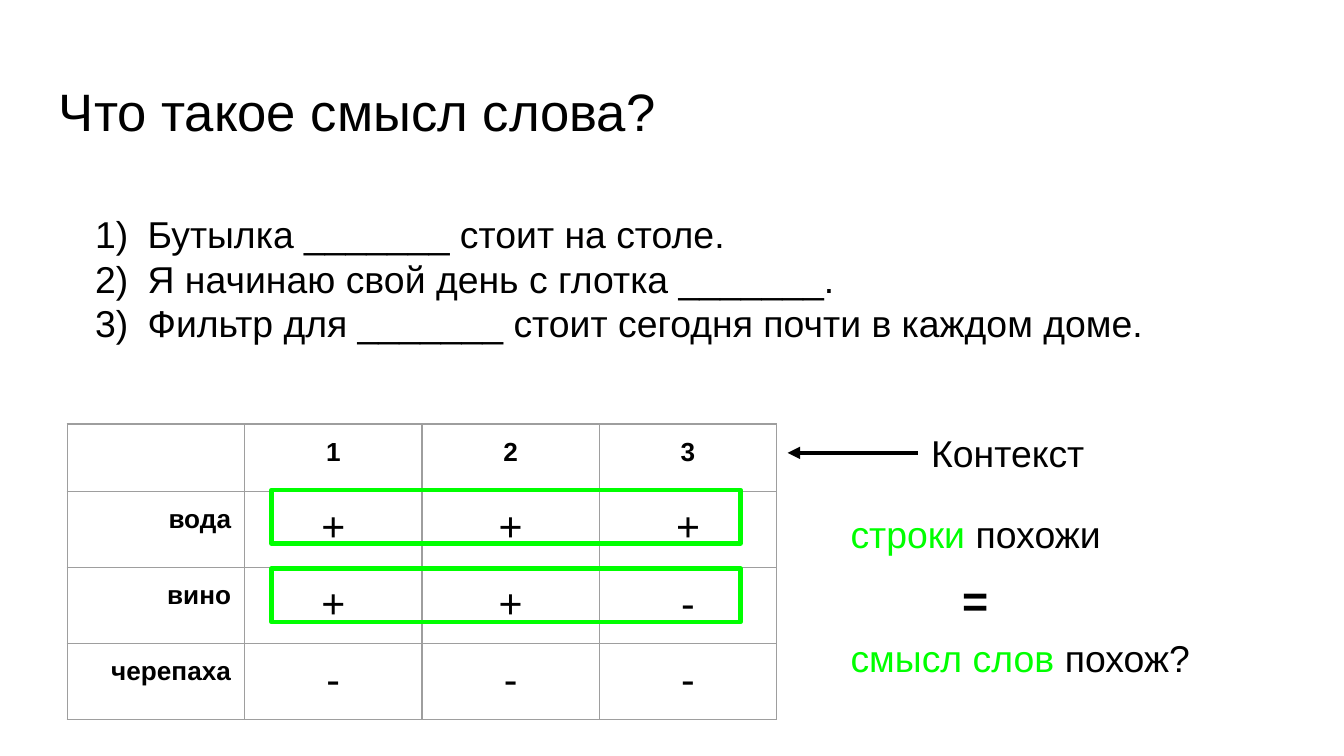
from typing import NamedTuple

from lxml.etree import SubElement
from pptx import Presentation
from pptx.dml.color import RGBColor
from pptx.enum.shapes import MSO_CONNECTOR, MSO_SHAPE
from pptx.enum.text import MSO_ANCHOR, MSO_AUTO_SIZE, PP_ALIGN
from pptx.oxml.ns import qn
from pptx.util import Pt

PX = 4572
PAD = 20 * PX
BLACK = RGBColor(0x00, 0x00, 0x00)
GREEN = RGBColor(0x00, 0xFF, 0x00)
GREY = RGBColor(0x9E, 0x9E, 0x9E)


class Box(NamedTuple):
    x: int
    y: int
    w: int
    h: int


class Part(NamedTuple):
    text: str
    color: RGBColor = BLACK


class Label(NamedTuple):
    box: Box
    lines: list[list[Part]]
    size: float = 20
    bold: bool = False
    grow: bool = True
    listed: bool = False


TITLE = Label(Box(68, 98, 1864, 126), [[Part("Что такое смысл слова?")]], 28.2, grow=False)
TASKS = Label(Box(100, 294, 1822, 242), [
    [Part("Бутылка _______ стоит на столе.")],
    [Part("Я начинаю свой день с глотка _______.")],
    [Part("Фильтр для _______ стоит сегодня почти в каждом доме.")],
], listed=True)
CONTEXT = Label(Box(1366, 620, 314, 108), [[Part("Контекст")]])
NOTES = [
    Label(Box(1246, 741, 656, 108), [[Part("строки", GREEN), Part(" похожи")]]),
    Label(Box(1412, 832, 214, 80), [[Part("=")]], 24, bold=True, grow=False),
    Label(Box(1246, 926, 656, 108), [[Part("смысл слов", GREEN), Part(" похож?")]]),
]
FRAMES = [Box(404, y, 698, 80) for y in (729, 846)]
GRID = [
    ["", "1", "2", "3"],
    ["вода", "+", "+", "+"],
    ["вино", "+", "+", "-"],
    ["черепаха", "-", "-", "-"],
]
ROWS = [100, 113, 113, 113]
COL = 264


def scale(box: Box) -> list[int]:
    return [n * PX for n in box]


def style(para, size: float, bold: bool) -> None:
    font = para.font
    font.name = "Arial"
    font.size = Pt(size)
    font.bold = bold
    font.color.rgb = BLACK


def number(para) -> None:
    props = para._p.get_or_add_pPr()
    props.set("marL", str(100 * PX))
    props.set("indent", str(-78 * PX))
    tint = SubElement(props, qn("a:buClr"))
    SubElement(tint, qn("a:srgbClr"), val=str(BLACK))
    SubElement(props, qn("a:buAutoNum"), type="arabicParenR")


def write(slide, label: Label):
    shape = slide.shapes.add_textbox(*scale(label.box))
    frame = shape.text_frame
    frame.word_wrap = True
    frame.vertical_anchor = MSO_ANCHOR.TOP
    frame.auto_size = MSO_AUTO_SIZE.SHAPE_TO_FIT_TEXT if label.grow else MSO_AUTO_SIZE.NONE
    frame.margin_left = frame.margin_right = PAD
    frame.margin_top = frame.margin_bottom = PAD
    for i, line in enumerate(label.lines):
        para = frame.add_paragraph() if i else frame.paragraphs[0]
        if label.listed:
            number(para)
        style(para, label.size, label.bold)
        for part in line:
            run = para.add_run()
            run.text = part.text
            if part.color != BLACK:
                run.font.color.rgb = part.color
    return shape


def border(cell) -> None:
    props = cell._tc.get_or_add_tcPr()
    for side in ("lnL", "lnR", "lnT", "lnB"):
        line = SubElement(props, qn(f"a:{side}"), w=str(Pt(0.75)))
        fill = SubElement(line, qn("a:solidFill"))
        SubElement(fill, qn("a:srgbClr"), val=str(GREY))


def tabulate(slide) -> None:
    count = len(GRID[0])
    box = Box(100, 631, count * COL, sum(ROWS))
    table = slide.shapes.add_table(len(GRID), count, *scale(box)).table
    table.first_row = table.horz_banding = False
    for col in table.columns:
        col.width = COL * PX
    for r, words in enumerate(GRID):
        table.rows[r].height = ROWS[r] * PX
        for c, word in enumerate(words):
            cell = table.cell(r, c)
            cell.margin_left = cell.margin_right = PAD
            cell.margin_top = cell.margin_bottom = PAD
            border(cell)
            cell.fill.background()
            if word:
                head = r == 0 or c == 0
                para = cell.text_frame.paragraphs[0]
                para.text = word
                para.alignment = PP_ALIGN.CENTER if c else PP_ALIGN.RIGHT
                style(para, 14 if head else 22, head)


def outline(slide, box: Box) -> None:
    shape = slide.shapes.add_shape(MSO_SHAPE.RECTANGLE, *scale(box))
    shape.shadow.inherit = False
    shape.fill.background()
    shape.line.color.rgb = GREEN
    shape.line.width = Pt(2.25)
    SubElement(shape.line._get_or_add_ln(), qn("a:round"))


def point(slide, source, x: int) -> None:
    y = source.top + source.height // 2
    arrow = slide.shapes.add_connector(MSO_CONNECTOR.STRAIGHT, source.left, y, x * PX, y)
    arrow.begin_connect(source, 1)
    arrow.line.color.rgb = BLACK
    arrow.line.width = Pt(2.25)
    SubElement(arrow.line._get_or_add_ln(), qn("a:tailEnd"), type="triangle")
    SubElement(arrow._element.spPr, qn("a:effectLst"))


def main() -> None:
    deck = Presentation()
    deck.slide_width = 2000 * PX
    deck.slide_height = 1125 * PX
    slide = deck.slides.add_slide(deck.slide_layouts[6])
    write(slide, TITLE)
    write(slide, TASKS)
    tabulate(slide)
    point(slide, write(slide, CONTEXT), 1172)
    for frame in FRAMES:
        outline(slide, frame)
    for note in NOTES:
        write(slide, note)
    deck.save("out.pptx")


if __name__ == "__main__":
    main()
